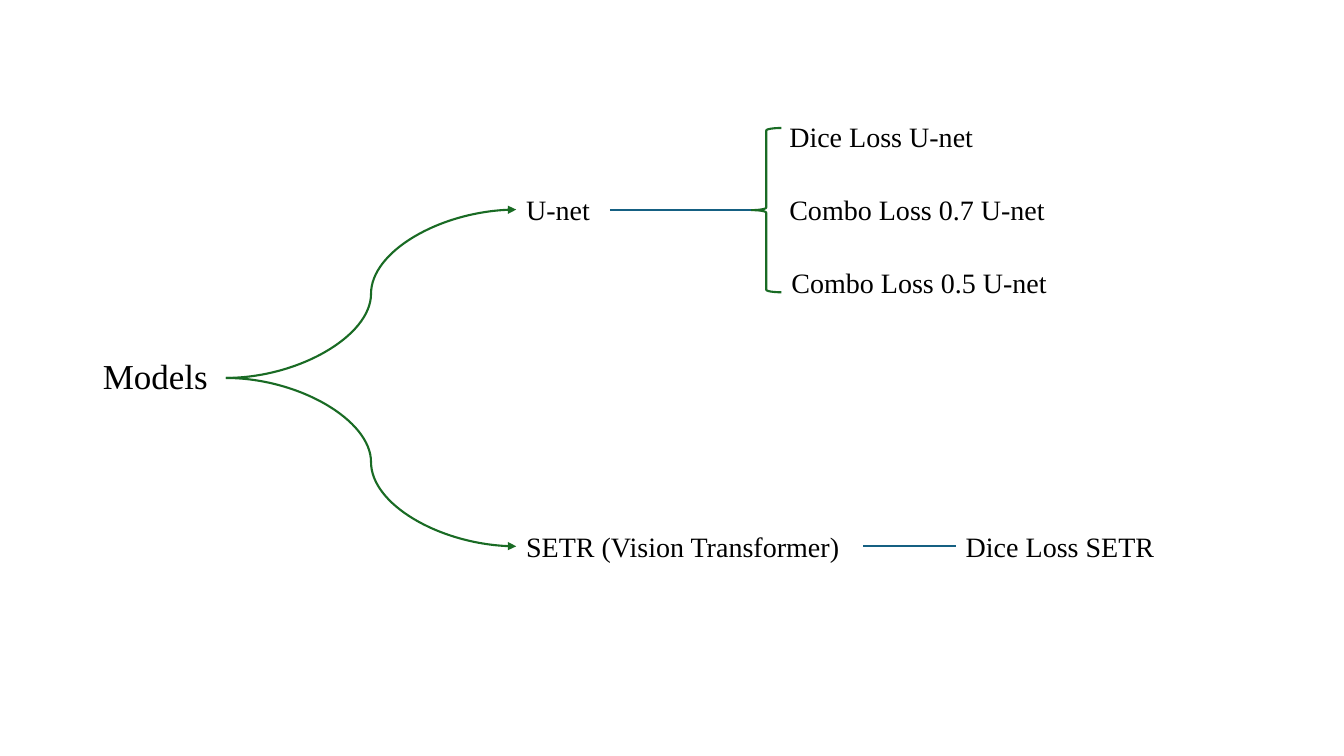
"""Draw a tree of segmentation models and their losses."""
from dataclasses import dataclass

from lxml.etree import SubElement
from pptx import Presentation
from pptx.dml.color import RGBColor
from pptx.enum.shapes import MSO_CONNECTOR, MSO_SHAPE
from pptx.enum.text import MSO_ANCHOR, MSO_AUTO_SIZE, PP_ALIGN
from pptx.oxml.ns import qn
from pptx.util import Inches, Pt

BLACK = RGBColor(0x00, 0x00, 0x00)
GREEN = RGBColor(0x19, 0x6B, 0x24)
BLUE = RGBColor(0x15, 0x60, 0x82)

ROOT, TOP, LOW = 3.75, 2.08, 5.42
STEP, HIGH = 0.725, 0.44
FONT = {"name": "Times New Roman", "bold": False}
HEAD = {"vertical_anchor": MSO_ANCHOR.MIDDLE, "word_wrap": True,
        "auto_size": MSO_AUTO_SIZE.NONE}
BODY = {"word_wrap": False, "auto_size": MSO_AUTO_SIZE.SHAPE_TO_FIT_TEXT}


@dataclass
class Label:
    text: str
    left: float
    mid: float
    width: float


@dataclass
class Link:
    start: tuple[float, float]
    end: tuple[float, float]
    color: RGBColor
    arrow: bool = False


LABELS = [
    Label("U-net", 5.12, TOP, 0.93),
    Label("SETR (Vision Transformer)", 5.12, LOW, 3.44),
    Label("Dice Loss U-net", 7.73, TOP - STEP, 2.15),
    Label("Combo Loss 0.7 U-net", 7.73, TOP, 2.82),
    Label("Combo Loss 0.5 U-net", 7.75, TOP + STEP, 2.81),
    Label("Dice Loss SETR", 9.48, LOW, 2.22),
]
LINKS = [
    Link((2.24, ROOT), (5.12, TOP), GREEN, True),
    Link((2.24, ROOT), (5.12, LOW), GREEN, True),
    Link((6.05, TOP), (7.45, TOP), BLUE),
    Link((8.56, LOW), (9.48, LOW), BLUE),
]


def apply(target, values: dict) -> None:
    for name, value in values.items():
        setattr(target, name, value)


def write(shape, text: str, size: int, frame: dict) -> None:
    shape.text_frame.text = text
    apply(shape.text_frame, frame)
    line = shape.text_frame.paragraphs[0]
    line.alignment = PP_ALIGN.LEFT
    font = line.runs[0].font
    apply(font, FONT | {"size": Pt(size)})
    font.color.rgb = BLACK


def stroke(shape, color: RGBColor) -> None:
    shape.line.color.rgb = color
    shape.line.width = Pt(1.5)


def add_label(slide, label: Label) -> None:
    box = slide.shapes.add_textbox(
        Inches(label.left), Inches(label.mid - HIGH / 2),
        Inches(label.width), Inches(HIGH))
    write(box, label.text, 20, BODY)


def add_link(slide, link: Link) -> None:
    kind = MSO_CONNECTOR.CURVE if link.arrow else MSO_CONNECTOR.STRAIGHT
    ends = [Inches(part) for part in (*link.start, *link.end)]
    wire = slide.shapes.add_connector(kind, *ends)
    stroke(wire, link.color)
    if link.arrow:
        SubElement(wire.line._get_or_add_ln(), qn("a:tailEnd"), type="triangle")
    SubElement(wire._element.spPr, qn("a:effectLst"))


def add_brace(slide) -> None:
    brace = slide.shapes.add_shape(
        MSO_SHAPE.LEFT_BRACE, Inches(7.45), Inches(1.27),
        Inches(0.3), Inches(1.63))
    brace.shadow.inherit = False
    brace.fill.background()
    stroke(brace, GREEN)


def main() -> None:
    deck = Presentation()
    apply(deck, {"slide_width": Inches(13.33), "slide_height": Inches(7.5)})
    slide = deck.slides.add_slide(deck.slide_layouts[5])
    title = slide.shapes.title
    apply(title, {"left": Inches(0.92), "top": Inches(3.03),
                  "width": Inches(1.32), "height": Inches(1.45)})
    write(title, "Models", 25, HEAD)
    title.text_frame.paragraphs[0].line_spacing = 0.9
    for label in LABELS:
        add_label(slide, label)
    add_brace(slide)
    for link in LINKS:
        add_link(slide, link)
    deck.save("out.pptx")


if __name__ == "__main__":
    main()
